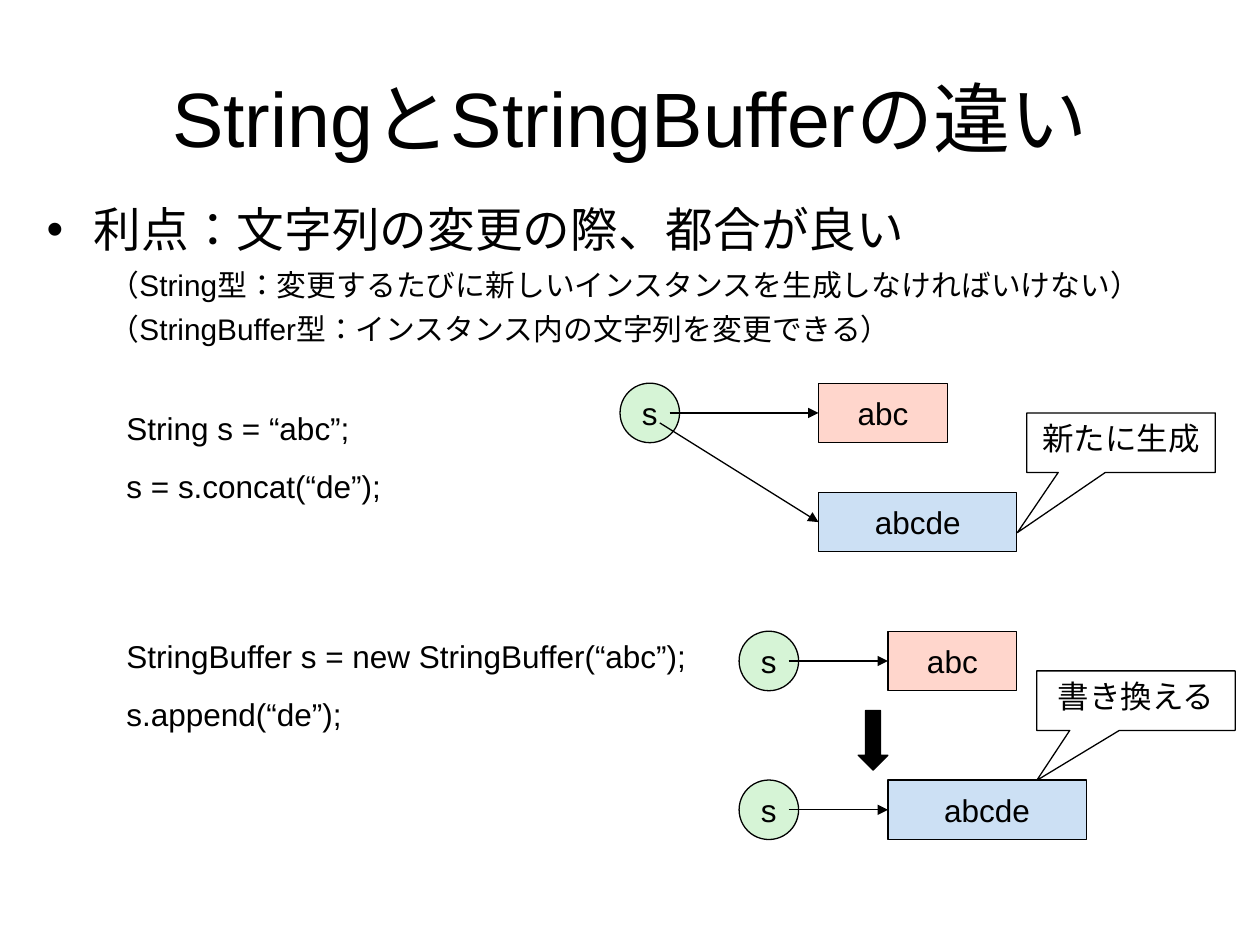
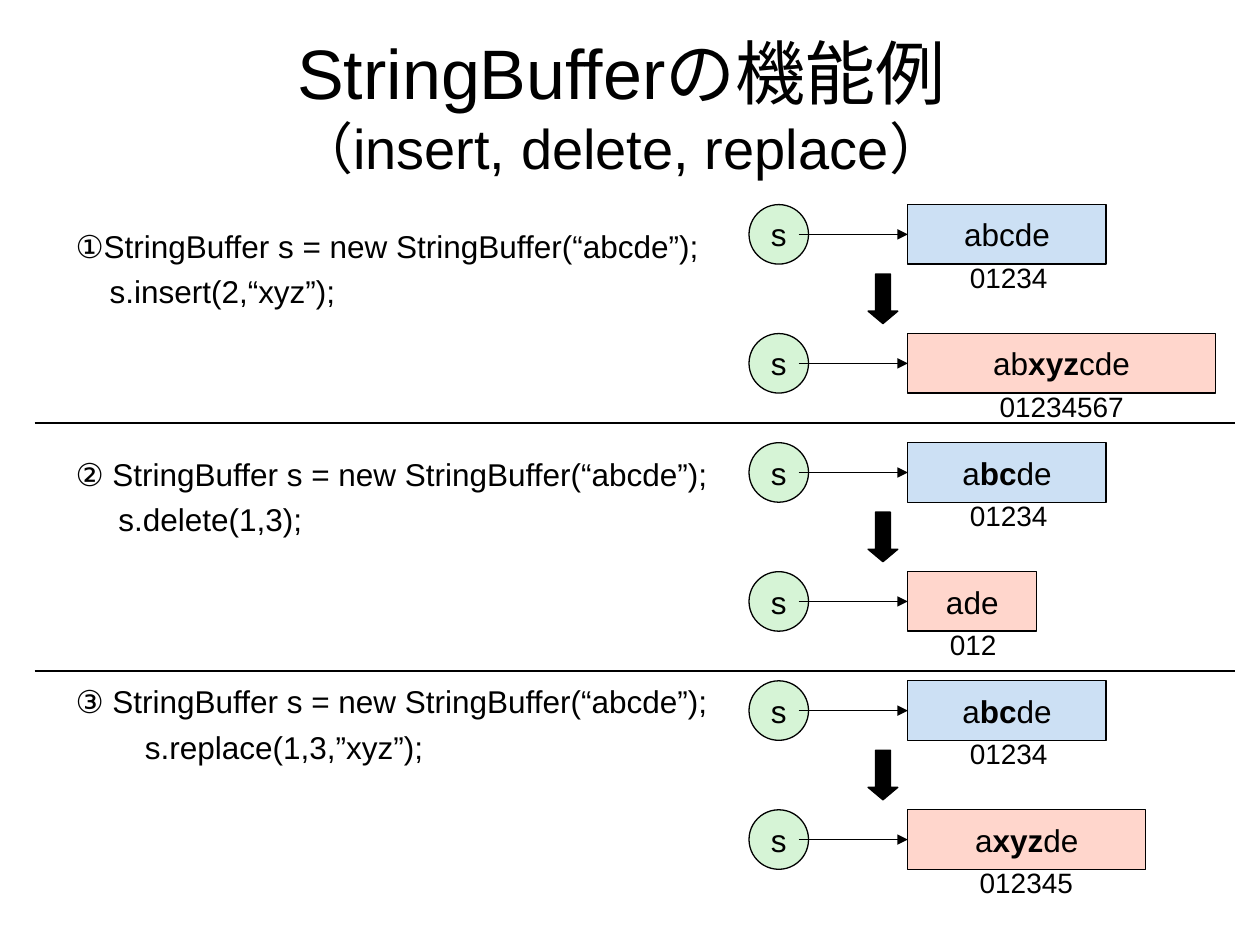
from lxml.etree import SubElement
from pptx import Presentation
from pptx.dml.color import RGBColor
from pptx.enum.lang import MSO_LANGUAGE_ID
from pptx.enum.shapes import MSO_CONNECTOR, MSO_SHAPE
from pptx.enum.text import MSO_ANCHOR, MSO_AUTO_SIZE, PP_ALIGN
from pptx.oxml.ns import qn
from pptx.util import Inches, Mm, Pt

# Shared look
FONT = "Arial"
BLACK = RGBColor(0x00, 0x00, 0x00)
WHITE = RGBColor(0xFF, 0xFF, 0xFF)
RED = RGBColor(0xFF, 0x33, 0x00)
BLUE = RGBColor(0x00, 0x66, 0xCC)
GREEN = RGBColor(0x33, 0xCC, 0x33)
TINT_OPACITY = 20000
LINE_WIDTH = Pt(0.75)
CODE_SIZE = 18

# Grid of 2 mm cells; a variable and its value are both 6 rows high
CELL = Mm(2)
GRID_LEFT, GRID_TOP = Mm(1), Mm(1.25)
NODE = 6


def column(number):
    return int(GRID_LEFT + number * CELL)


def row(number):
    return int(GRID_TOP + number * CELL)


def grid_box(left, top, width, height):
    return column(left), row(top), int(width * CELL), int(height * CELL)


# Text
def style(paragraph, size, align=None, space_before=None):
    paragraph.font.name = FONT
    paragraph.font.size = Pt(size)
    paragraph.font.color.rgb = BLACK
    if align is not None:
        paragraph.alignment = align
    if space_before is not None:
        paragraph.space_before = Pt(space_before)


def add_run(paragraph, text):
    run = paragraph.add_run()
    run.text = text
    if not text.isascii():
        run.font.language_id = MSO_LANGUAGE_ID.JAPANESE
    return run


def next_paragraph(frame):
    first = frame.paragraphs[0]
    return frame.add_paragraph() if first.runs else first


def remove_bullet(paragraph, margin=None):
    properties = paragraph._p.get_or_add_pPr()
    bullet = properties.makeelement(qn("a:buNone"))
    properties.insert_element_before(bullet, "a:tabLst", "a:defRPr", "a:extLst")
    if margin is not None:
        properties.set("marL", str(Inches(margin)))
        properties.set("indent", "0")


def place(placeholder, left, top, width, height):
    placeholder.left, placeholder.top = Inches(left), Inches(top)
    placeholder.width, placeholder.height = Inches(width), Inches(height)
    placeholder.text_frame.auto_size = MSO_AUTO_SIZE.NONE
    return placeholder.text_frame


def set_title(slide, left, top, lines):
    frame = place(slide.shapes.title, left, top, 9, 1.25)
    frame.vertical_anchor = MSO_ANCHOR.MIDDLE
    paragraph = frame.paragraphs[0]
    style(paragraph, lines[0][1], PP_ALIGN.CENTER)
    for index, (text, size) in enumerate(lines):
        if index:
            paragraph.add_line_break()
        add_run(paragraph, text).font.size = Pt(size)


def add_text(slide, box, lines, size, space_before=0):
    frame = slide.shapes.add_textbox(*box).text_frame
    frame.word_wrap = True
    for text in lines:
        paragraph = next_paragraph(frame)
        add_run(paragraph, text)
        style(paragraph, size, space_before=space_before)


# Diagram parts
def add_figure(slide, kind, box, color, text="", tinted=False):
    """Add an outlined shape; text between asterisks is bold."""
    shape = slide.shapes.add_shape(kind, *box)
    shape.shadow.inherit = False
    shape.fill.solid()
    shape.fill.fore_color.rgb = color
    if tinted:
        for fill_color in shape.element.spPr.iter(qn("a:srgbClr")):
            SubElement(fill_color, qn("a:alpha"), val=str(TINT_OPACITY))
    shape.line.color.rgb = BLACK
    shape.line.width = LINE_WIDTH
    if text:
        shape.text_frame.word_wrap = not tinted
        paragraph = shape.text_frame.paragraphs[0]
        for index, part in enumerate(text.split("*")):
            run = add_run(paragraph, part)
            if index % 2:
                run.font.bold = True
        style(paragraph, CODE_SIZE, PP_ALIGN.CENTER)
    return shape


def add_line(slide, start, end, arrow=False):
    line = slide.shapes.add_connector(
        MSO_CONNECTOR.STRAIGHT,
        column(start[0]), row(start[1]), column(end[0]), row(end[1]))
    line.line.color.rgb = BLACK
    line.line.width = LINE_WIDTH
    if arrow:
        SubElement(line.line._get_or_add_ln(), qn("a:tailEnd"), type="triangle")
    SubElement(line._element.spPr, qn("a:effectLst"))


def add_value(slide, left, top, width, text, color):
    add_figure(slide, MSO_SHAPE.RECTANGLE, grid_box(left, top, width, NODE),
               color, text, tinted=True)


def add_reference(slide, variable, left, top, width, text, color):
    """Variable circle pointing at the value it refers to."""
    add_figure(slide, MSO_SHAPE.OVAL, grid_box(variable, top, NODE, NODE),
               GREEN, "s", tinted=True)
    add_value(slide, left, top, width, text, color)
    middle = top + NODE / 2
    add_line(slide, (variable + NODE - 1, middle), (left, middle), arrow=True)


def add_down_arrow(slide, left, top, height, head):
    arrow = add_figure(slide, MSO_SHAPE.DOWN_ARROW,
                       grid_box(left, top, 3, height), BLACK)
    arrow.adjustments[1] = head


def add_callout(slide, left, top, width, text, tip):
    callout = add_figure(slide, MSO_SHAPE.RECTANGULAR_CALLOUT,
                         grid_box(left, top, width, NODE), WHITE, text)
    callout.text_frame.vertical_anchor = MSO_ANCHOR.TOP
    callout.adjustments[0], callout.adjustments[1] = tip


# Slides
def build_difference(slide):
    set_title(slide, 0.5, 0.3, [("StringとStringBufferの違い", 44)])

    frame = place(slide.placeholders[1], 0.27, 1.54, 9.45, 1.45)
    advantage = next_paragraph(frame)
    add_run(advantage, "利点：文字列の変更の際、都合が良い")
    style(advantage, 27.2, space_before=8)
    for text in ("（String型：変更するたびに新しいインスタンスを生成しなければいけない）",
                 "（StringBuffer型：インスタンス内の文字列を変更できる）"):
        detail = next_paragraph(frame)
        detail.level = 1
        add_run(detail, text)
        style(detail, 17, space_before=5)
        remove_bullet(detail)

    add_text(slide, grid_box(11, 40, 31, 11),
             ["String s = “abc”;", "s = s.concat(“de”);"], CODE_SIZE, 11.2)
    add_text(slide, grid_box(11, 63, 71, 11),
             ["StringBuffer s = new StringBuffer(“abc”);", "s.append(“de”);"],
             CODE_SIZE, 11.2)

    # String: a second instance is made
    add_reference(slide, 62, 82, 38, 13, "abc", RED)
    add_value(slide, 82, 49, 20, "abcde", BLUE)
    add_line(slide, (66, 42), (82, 52), arrow=True)
    add_callout(slide, 103, 41, 19, "新たに生成", (-0.55, 1.51))

    # StringBuffer: the same instance changes
    add_reference(slide, 74, 89, 63, 13, "abc", RED)
    add_down_arrow(slide, 86, 71, 6, 0.5)
    add_reference(slide, 74, 89, 78, 20, "abcde", BLUE)
    add_callout(slide, 104, 67, 20, "書き換える", (-0.5, 1.34))


def build_functions(slide):
    set_title(slide, 0.43, 0.21, [("StringBufferの機能例", 40),
                                  ("（insert, delete, replace）", 32)])
    # Declaration, call, indent of the call, value before, value after, width after
    examples = [
        ("①StringBuffer s = new StringBuffer(“abcde”);",
         "s.insert(2,“xyz”);", 0.27, "abcde", "ab*xyz*cde", 31),
        ("② StringBuffer s = new StringBuffer(“abcde”);",
         "s.delete(1,3);", 0.34, "a*bc*de", "ade", 13),
        ("③ StringBuffer s = new StringBuffer(“abcde”);",
         "s.replace(1,3,”xyz”);", 0.55, "a*bc*de", "a*xyz*de", 24),
    ]
    frame = place(slide.placeholders[1], 0.5, 1.75, 9, 4.95)
    variable, value, first_row, pitch, step = 75, 91, 20, 24, 13

    for index, (declaration, call, indent, before, after, width) in enumerate(examples):
        for text, margin, gap in ((declaration, 0, 82.5 if index else 4.5),
                                  (call, indent, 4.5)):
            paragraph = next_paragraph(frame)
            add_run(paragraph, text)
            style(paragraph, CODE_SIZE, space_before=gap)
            remove_bullet(paragraph, margin)

        top = first_row + index * pitch
        states = ((top, 20, before, BLUE), (top + step, width, after, RED))
        for state_top, state_width, text, color in states:
            add_reference(slide, variable, value, state_top, state_width, text, color)
            # Character positions below the value
            count = len(text.replace("*", ""))
            positions = "".join(str(number) for number in range(count))
            add_text(slide, grid_box(value + count, state_top + 5, 17, 4.7),
                     [positions], 16)
        add_down_arrow(slide, 87, top + NODE + 1, 5, 0.42)

    # Dividers between the examples
    for divider in (42, 67):
        add_line(slide, (3, divider), (124, divider))


def main():
    presentation = Presentation()
    presentation.slide_width, presentation.slide_height = Inches(10), Inches(7.5)
    layout = presentation.slide_layouts[1]
    for build in (build_difference, build_functions):
        build(presentation.slides.add_slide(layout))
    presentation.save("out.pptx")


if __name__ == "__main__":
    main()
